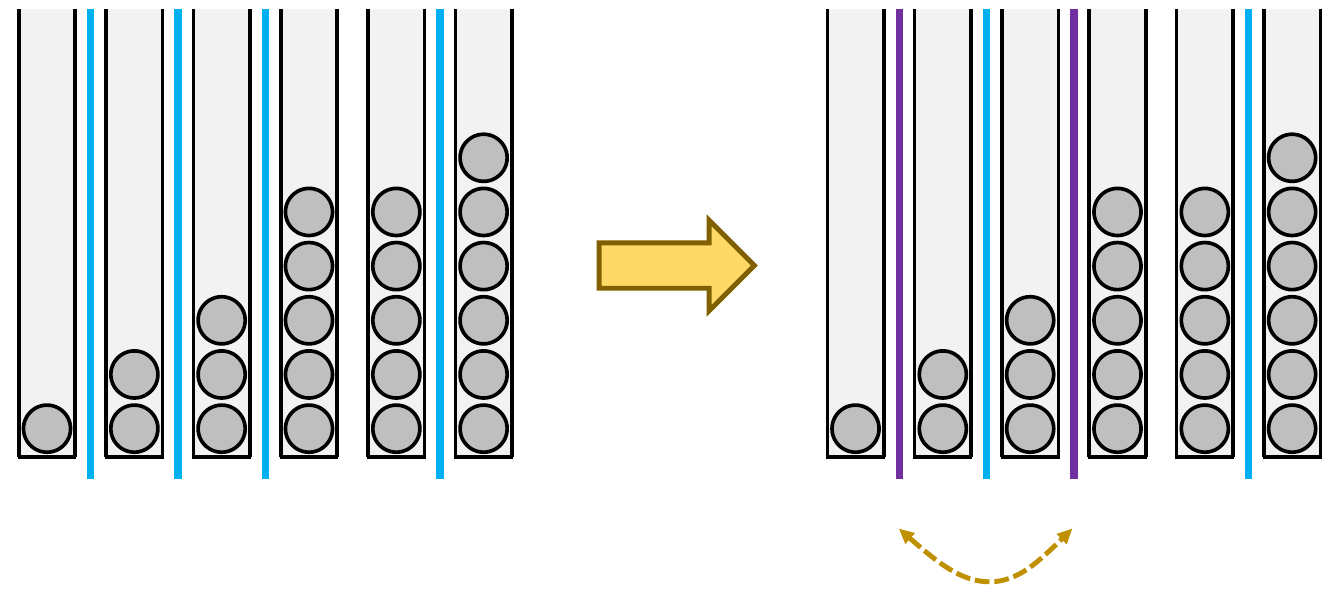
from lxml import etree
from pptx import Presentation
from pptx.dml.color import RGBColor
from pptx.enum.dml import MSO_LINE
from pptx.enum.shapes import MSO_CONNECTOR, MSO_SHAPE
from pptx.oxml.ns import qn
from pptx.util import Inches, Pt

RECT, OVAL, ARROW = MSO_SHAPE.RECTANGLE, MSO_SHAPE.OVAL, MSO_SHAPE.RIGHT_ARROW
STRAIGHT, DASH = MSO_CONNECTOR.STRAIGHT, MSO_LINE.SQUARE_DOT

BLACK = RGBColor(0x00, 0x00, 0x00)
TUBE_GRAY = RGBColor(0xF2, 0xF2, 0xF2)
BALL_GRAY = RGBColor(0xBF, 0xBF, 0xBF)
BLUE = RGBColor(0x00, 0xB0, 0xF0)
PURPLE = RGBColor(0x70, 0x30, 0xA0)
YELLOW = RGBColor(0xFF, 0xD9, 0x66)
BROWN = RGBColor(0x80, 0x60, 0x00)
GOLD = RGBColor(0xBF, 0x90, 0x00)

# Grid, in inches: one column per tube, one row per ball
COL = (3.87 - 0.16) / 5
ROW = 0.46
TOP, BASE, DIVIDER_END = 0.08, 3.88, 4.07
TUBE_W, BALL, FIRST_BALL = 0.48, 0.4, 3.44
LEFT_PANEL, RIGHT_PANEL = 0.16, 7.03
BALL_COUNTS = [1, 2, 3, 5, 5, 6]


class Diagram:
    def __init__(self, slide):
        self.slide = slide
        self.shapes = slide.shapes
        self.left = 0

    def start_panel(self, left):
        """Open a group; its columns are counted from left."""
        self.shapes = self.slide.shapes.add_group_shape().shapes
        self.left = left

    def end_panel(self):
        self.shapes = self.slide.shapes

    def column(self, col):
        return self.left + col * COL

    def shape(self, kind, x, y, w, h, fill, color=None, width=2.25):
        sp = self.shapes.add_shape(kind, *map(Inches, (x, y, w, h)))
        sp.shadow.inherit = False
        sp.fill.solid()
        sp.fill.fore_color.rgb = fill
        if color is None:
            sp.line.fill.background()
        else:
            self.outline(sp, color, width)
        return sp

    def outline(self, sp, color, width):
        sp.line.color.rgb = color
        sp.line.width = Pt(width)

    def line(self, x1, y1, x2, y2, color=BLACK, width=2.25):
        c = self.shapes.add_connector(STRAIGHT, *map(Inches, (x1, y1, x2, y2)))
        self.outline(c, color, width)
        etree.SubElement(c.element.spPr, qn("a:effectLst"))

    def tube(self, col):
        x = self.column(col)
        self.shape(RECT, x, TOP, TUBE_W, BASE - TOP, TUBE_GRAY)
        for side in (x, x + TUBE_W):
            self.line(side, TOP, side, BASE)
        self.line(x + TUBE_W + 0.01, BASE, x - 0.01, BASE)

    def balls(self, col, count):
        x = self.column(col) + (TUBE_W - BALL) / 2
        for row in range(count):
            self.shape(OVAL, x, FIRST_BALL - row * ROW, BALL, BALL,
                       BALL_GRAY, BLACK)

    def divider(self, col, color):
        x = self.column(col) + (COL + TUBE_W) / 2
        self.line(x, TOP, x, DIVIDER_END, color, 4.5)

    def block_arrow(self, x, y, w, h):
        sp = self.shape(ARROW, x, y, w, h, YELLOW, BROWN, 3)
        ln = sp.element.spPr.find(qn("a:ln"))
        etree.SubElement(ln, qn("a:miter"), lim="800000")

    def swap_arrow(self, start, curves):
        """Dashed double-headed arrow; each curve is two controls and an end."""
        x0, y0 = map(Inches, start)
        fb = self.shapes.build_freeform(x0, y0)
        fb.add_line_segments([tuple(map(Inches, c[-1])) for c in curves],
                             close=False)
        sp = fb.convert_to_shape()
        sp.shadow.inherit = False
        sp.fill.background()
        self.outline(sp, GOLD, 3)
        sp.line.dash_style = DASH
        # Bend the straight segments into Bézier curves
        segments = list(sp.element.iter(qn("a:lnTo")))
        for segment, curve in zip(segments, curves):
            bend = etree.Element(qn("a:cubicBezTo"))
            for x, y in curve:
                etree.SubElement(bend, qn("a:pt"), x=str(Inches(x) - x0),
                                 y=str(Inches(y) - y0))
            segment.getparent().replace(segment, bend)
        ln = sp.element.spPr.find(qn("a:ln"))
        for end in ("a:headEnd", "a:tailEnd"):
            etree.SubElement(ln, qn(end), type="triangle")


def main():
    prs = Presentation()
    prs.slide_width, prs.slide_height = Inches(11.42), Inches(5.12)
    s = prs.slides.add_slide(prs.slide_layouts[6])
    d = Diagram(s)

    # Arrow between the two panels
    d.block_arrow(5.09, 1.87, 1.32, 0.77)

    # Panels: tubes, balls and dividers (keyed by the column before them)
    panels = [
        (LEFT_PANEL, {0: BLUE, 1: BLUE, 2: BLUE, 4: BLUE}),
        (RIGHT_PANEL, {0: PURPLE, 1: BLUE, 2: PURPLE, 4: BLUE}),
    ]
    for left, dividers in panels:
        d.start_panel(left)
        for col, count in enumerate(BALL_COUNTS):
            d.tube(col)
            d.balls(col, count)
        for col, color in dividers.items():
            d.divider(col, color)
        d.end_panel()

    # Swap of the two purple dividers
    d.swap_arrow((7.64, 4.49), [
        [(7.9, 4.72), (8.16, 4.94), (8.41, 4.94)],
        [(8.65, 4.94), (8.88, 4.72), (9.11, 4.49)],
    ])

    prs.save("out.pptx")


if __name__ == "__main__":
    main()
